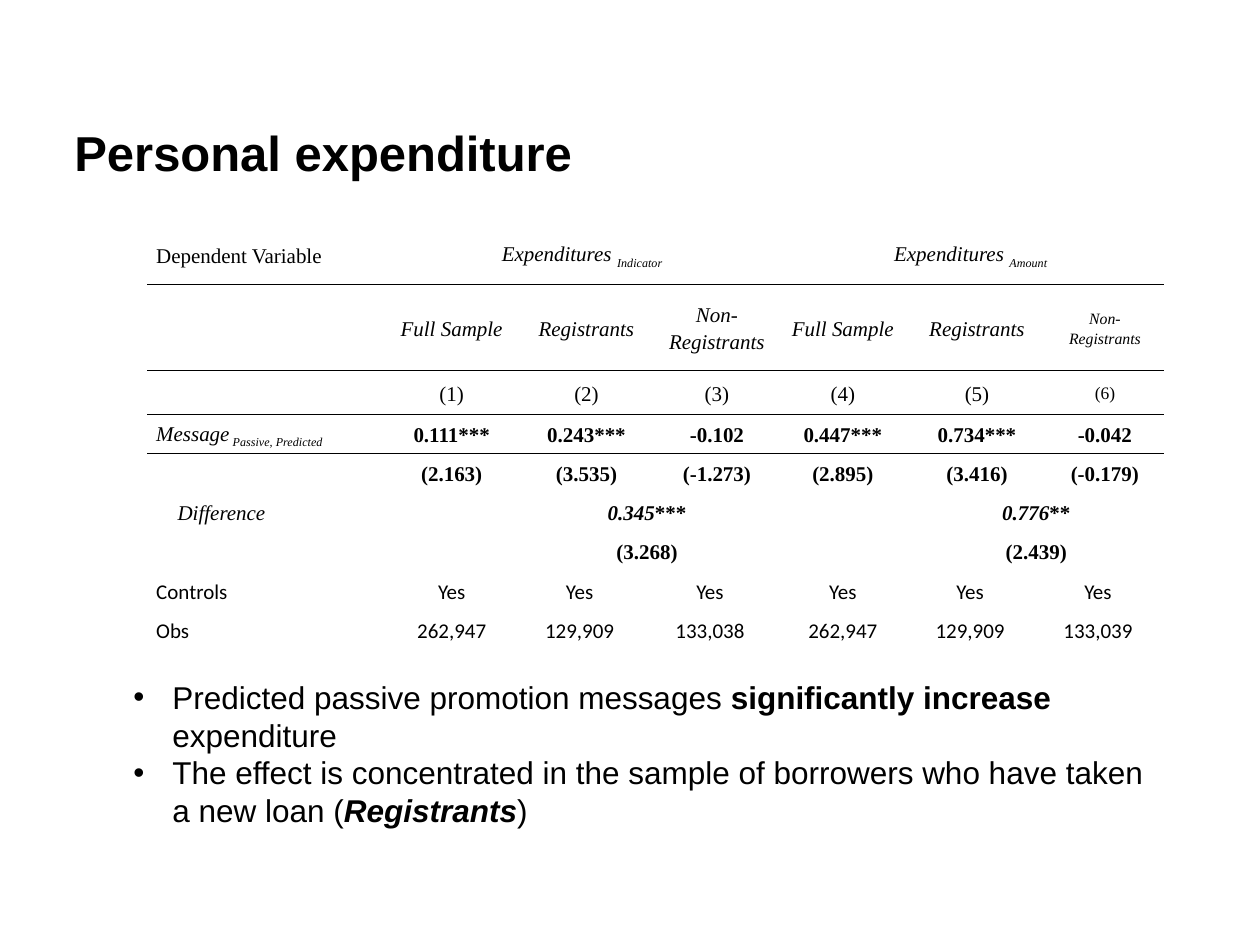
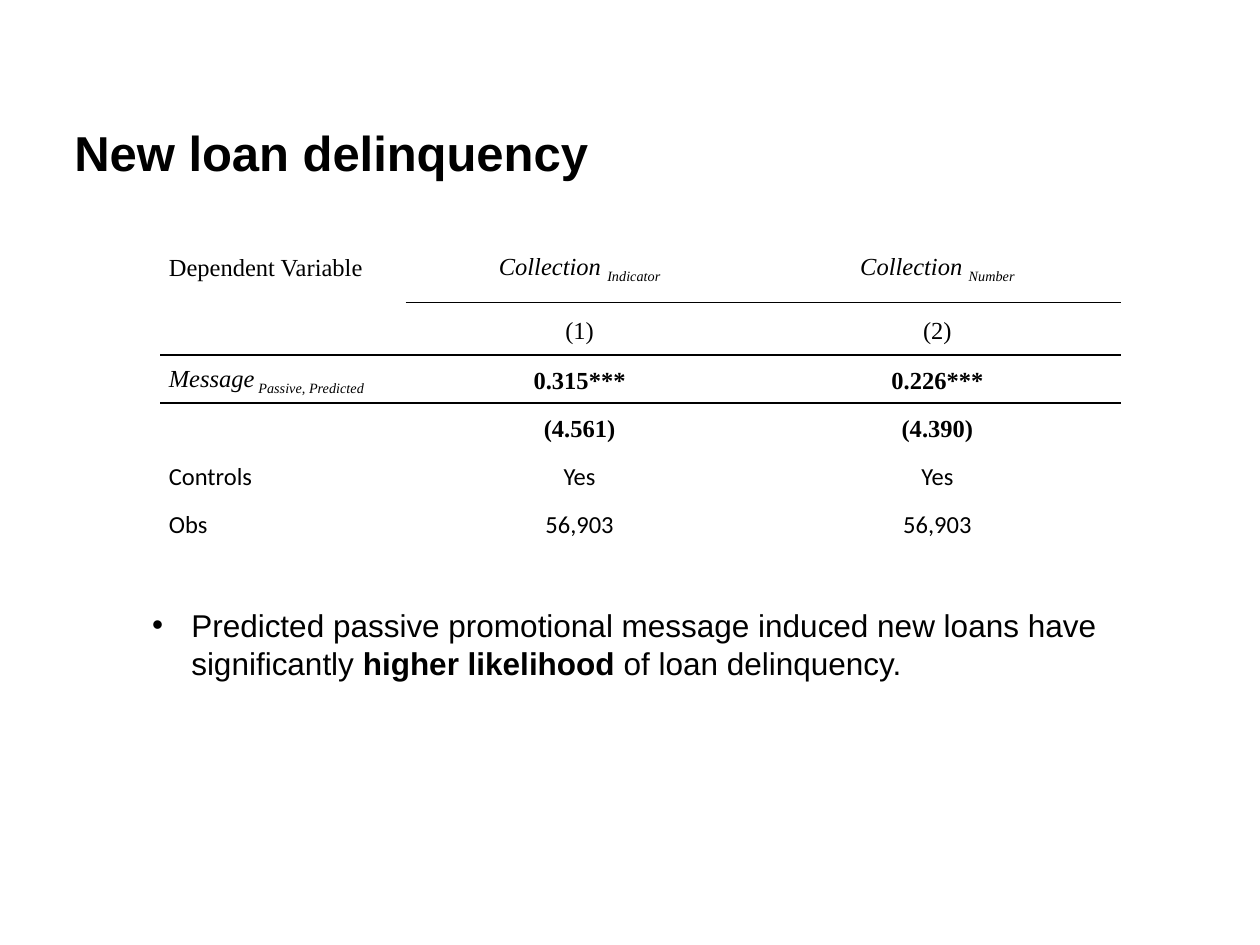
import pptx
import pptx.util
import pptx.dml.color
import pptx.enum.text
import pptx.oxml.ns
from lxml import etree

Inches = pptx.util.Inches
qn = pptx.oxml.ns.qn
COLORS = {"ink": "000000"}
FONTS = {"sans": "Arial", "serif": "Times New Roman", "counts": "Calibri"}
NO_STYLE = "{2D5ABB26-0587-4C30-8999-92F81FD0307C}"
HEADING = [1, 4, 4]
ESTIMATES = [1, 1, 2, 1, 1, 2, 1]
DIFFERENCES = [1, 1, 3, 1, 3]
COUNTS = [1, 1, 1, 2, 1, 1, 2]
SINGLE = [1, 1, 1]
MESSAGE = [("Message", "i"), (" Passive, Predicted", "is")]

SLIDES = [
    {
        "title": "Personal expenditure",
        "table": (1.17, 1.78),
        "size": 12,
        "columns": [1.9, 1.03, 1, 0.11, 0.96, 1.04, 0.98, 0.11, 0.94],
        "heights": [0.48, 0.68, 0.35] + [0.31] * 6,
        "rules": {0: 0, 2: 0},
        "small": {(1, 8): 9, (2, 8): 10},
        "rows": [
            ("", "serif", HEADING, ["Dependent Variable",
                                    [("Expenditures ", "i"), ("Indicator", "is")],
                                    [("Expenditures ", "i"), ("Amount", "is")]]),
            ("i", "serif", ESTIMATES, [""] + ["Full Sample", "Registrants", "Non-Registrants"] * 2),
            ("", "serif", ESTIMATES, ["", "(1)", "(2)", "(3)", "(4)", "(5)", "(6)"]),
            ("b", "serif", ESTIMATES, [MESSAGE, "0.111***", "0.243***", "-0.102",
                                       "0.447***", "0.734***", "-0.042"]),
            ("b", "serif", ESTIMATES, ["", "(2.163)", "(3.535)", "(-1.273)",
                                       "(2.895)", "(3.416)", "(-0.179)"]),
            ("b", "serif", DIFFERENCES, [[("Difference", "i")],
                                         "", [("0.345", "bi"), ("***", "b")],
                                         "", [("0.776", "bi"), ("**", "b")]]),
            ("b", "serif", DIFFERENCES, ["", "", "(3.268)", "", "(2.439)"]),
            ("", "counts", COUNTS, ["Controls"] + ["Yes"] * 6),
            ("", "counts", COUNTS, ["Obs", "262,947", "129,909", "133,038",
                                    "262,947", "129,909", "133,039"]),
        ],
        "indented": (5, 0),
        "notes_box": (0.96, 5.33, 8.27, 1.31),
        "findings": [
            [("Predicted passive promotion messages ", ""), ("significantly increase ", "b"),
             ("expenditure", "")],
            [("The effect is concentrated in the sample of borrowers who have taken a new loan (", ""),
             ("Registrants", "bi"), (")", "")],
        ],
    },
    {
        "title": "New loan delinquency",
        "table": (1.27, 1.83),
        "size": 14,
        "columns": [1.95, 2.76, 2.92],
        "heights": [0.57, 0.42] + [0.38] * 4,
        "rules": {0: 1, 1: 0},
        "small": {},
        "rows": [
            ("", "serif", SINGLE, ["Dependent Variable",
                                   [("Collection ", "i"), ("Indicator", "is")],
                                   [("Collection ", "i"), ("Number", "is")]]),
            ("", "serif", SINGLE, ["", "(1)", "(2)"]),
            ("b", "serif", SINGLE, [MESSAGE, "0.315***", "0.226***"]),
            ("b", "serif", SINGLE, ["", "(4.561)", "(4.390)"]),
            ("", "counts", SINGLE, ["Controls", "Yes", "Yes"]),
            ("", "counts", SINGLE, ["Obs", "56,903", "56,903"]),
        ],
        "indented": None,
        "notes_box": (1.11, 4.76, 7.78, 0.71),
        "findings": [
            [("Predicted passive promotional message induced new loans have significantly ", ""),
             ("higher likelihood ", "b"), ("of loan delinquency.", "")],
        ],
    },
]


def write(text, para, size=18, font="sans", flags=""):
    span = para.add_run()
    span.text = text
    span.font.size = pptx.util.Pt(size)
    span.font.name = FONTS[font]
    span.font.bold = "b" in flags
    span.font.italic = "i" in flags
    span.font.color.rgb = pptx.dml.color.RGBColor.from_string(COLORS["ink"])
    if "s" in flags:
        span.font._element.set("baseline", "-25000")


def draw_rule(cell, side):
    line = etree.Element(qn("a:" + side), w=str(pptx.util.Pt(1)))
    fill = etree.SubElement(line, qn("a:solidFill"))
    etree.SubElement(fill, qn("a:srgbClr"), val=COLORS["ink"])
    properties = cell._tc.get_or_add_tcPr()
    properties.insert(0, line)


deck = pptx.Presentation()
deck.slide_width = Inches(10)
deck.slide_height = Inches(7.5)

for content in SLIDES:
    page = deck.slides.add_slide(deck.slide_layouts[5])

    title = page.shapes.title
    title.left, title.top, title.width, title.height = map(Inches, (0.59, 0.93, 6.94, 0.36))
    frame = title.text_frame
    frame.auto_size = pptx.enum.text.MSO_AUTO_SIZE.NONE
    frame.vertical_anchor = pptx.enum.text.MSO_ANCHOR.TOP
    frame.margin_left = frame.margin_right = frame.margin_bottom = 0
    frame.margin_top = Inches(0.04)
    frame.paragraphs[0].alignment = pptx.enum.text.PP_ALIGN.LEFT
    write(content["title"], frame.paragraphs[0], size=28, flags="b")

    columns, heights = content["columns"], content["heights"]
    left, top = content["table"]
    table = page.shapes.add_table(len(heights), len(columns), Inches(left), Inches(top),
                                  Inches(sum(columns)), Inches(sum(heights))).table
    table.first_row = table.horz_banding = False
    table._tbl.tblPr.find(qn("a:tableStyleId")).text = NO_STYLE
    for column, width in zip(table.columns, columns):
        column.width = Inches(width)
    for row, height in zip(table.rows, heights):
        row.height = Inches(height)

    for cell in table.iter_cells():
        cell.fill.background()
        cell.margin_left = cell.margin_right = Inches(0.07)
        cell.margin_top = cell.margin_bottom = 0
        cell.vertical_anchor = pptx.enum.text.MSO_ANCHOR.MIDDLE

    for r, (flags, font, spans, entries) in enumerate(content["rows"]):
        c = 0
        for width, entry in zip(spans, entries):
            cell = table.cell(r, c)
            if width > 1:
                cell.merge(table.cell(r, c + width - 1))
            if (r, c) == content["indented"]:
                cell.margin_left = Inches(0.24)
            para = cell.text_frame.paragraphs[0]
            size = content["small"].get((r, c), content["size"])
            if entry:
                para.line_spacing = 1.15
                para.space_after = pptx.util.Pt(10)
                if c:
                    para.alignment = pptx.enum.text.PP_ALIGN.CENTER
                runs = [(entry, flags)] if isinstance(entry, str) else entry
                for text, run_flags in runs:
                    write(text, para, size=size, font=font, flags=run_flags)
            else:
                etree.SubElement(para._p, qn("a:endParaRPr"), sz=str(size * 100))
            c += width

    for r, first in content["rules"].items():
        for c in range(first, len(columns)):
            draw_rule(table.cell(r, c), "lnB")
            draw_rule(table.cell(r + 1, c), "lnT")

    box = page.shapes.add_textbox(*map(Inches, content["notes_box"]))
    frame = box.text_frame
    frame.word_wrap = True
    for number, runs in enumerate(content["findings"]):
        para = frame.add_paragraph() if number else frame.paragraphs[0]
        properties = para._p.get_or_add_pPr()
        properties.set("marL", str(Inches(0.31)))
        properties.set("indent", str(-Inches(0.31)))
        etree.SubElement(properties, qn("a:buFont"), typeface=FONTS["sans"])
        etree.SubElement(properties, qn("a:buChar"), char="•")
        for text, flags in runs:
            write(text, para, flags=flags)

deck.save("out.pptx")
